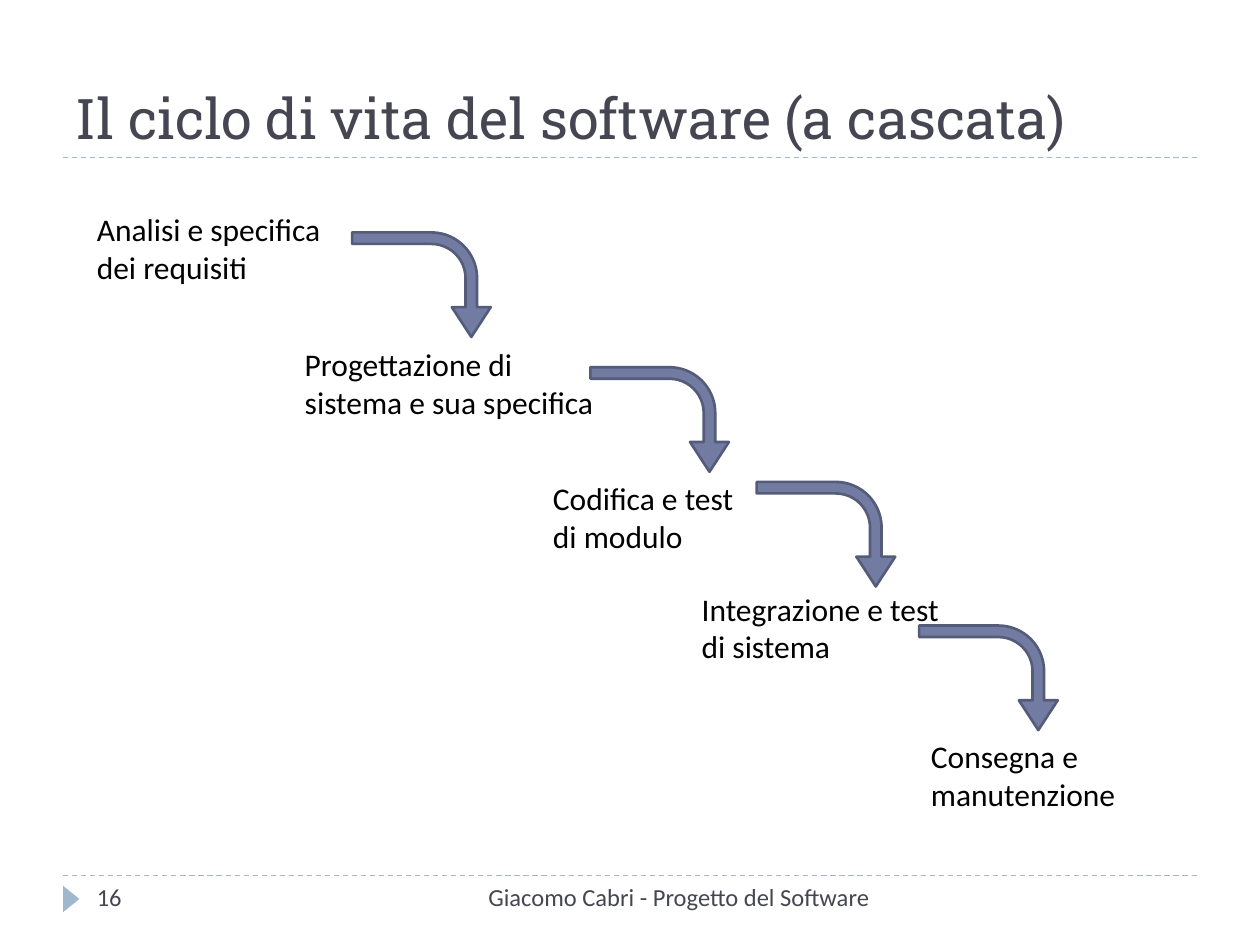
from lxml import etree
from pptx import Presentation
from pptx import util as u
from pptx.dml.color import RGBColor
from pptx.enum import dml, shapes, text
from pptx.oxml.ns import qn

# Content: each phase as (wording, left, top, width)
TITLE = "Il ciclo di vita del software (a cascata)"
FOOTER = "Giacomo Cabri - Progetto del Software"
PAGE_NUMBER = "16"
PHASES = [
    ("Analisi e specifica dei requisiti", 0.67, 1.62, 2.05),
    ("Progettazione di sistema e sua specifica", 2.32, 2.69, 2.61),
    ("Codifica e test di modulo", 4.29, 3.75, 1.71),
    ("Integrazione e test di sistema", 5.47, 4.63, 2.12),
    ("Consegna e manutenzione", 7.29, 5.8, 1.79),
]
ARROWS = [(2.93, 1.71), (4.82, 2.78), (6.14, 3.69), (7.43, 4.83)]

# Style
WIDTH, HEIGHT, MARGIN = 10, 7.5, 0.5
TITLE_RULE, FOOTER_RULE = 1.25, 6.95
PHASE_HEIGHT, FOOTER_HEIGHT = 0.71, 0.4
ARROW_SIZE = (0.83, 1.1)
ARROW_BENDS = (0.11, 0.186, 0.285, 0.438)
INK, BLACK, PALE, BLUE, DARK_BLUE = "464653", "000000", "9FB8CD", "727CA3", "545C79"
TITLE_FONT = {"name": "Roboto Slab", "size": u.Pt(32)}
PHASE_FONT = {"name": "Calibri", "size": u.Pt(18)}
FOOTER_FONT = {"name": "Calibri", "size": u.Pt(14)}


def color(value):
    return RGBColor.from_string(value)


def inches(*values):
    return [u.Inches(value) for value in values]


def write(box, wording, font, ink, align=text.PP_ALIGN.LEFT, anchor=text.MSO_ANCHOR.TOP):
    frame = box.text_frame
    frame.word_wrap = True
    frame.auto_size = text.MSO_AUTO_SIZE.NONE
    frame.vertical_anchor = anchor
    para = frame.paragraphs[0]
    para.alignment = align
    span = para.add_run()
    span.text = wording
    for key, value in font.items():
        setattr(span.font, key, value)
    span.font.color.rgb = color(ink)


def add_text(page, place, *args, **options):
    write(page.shapes.add_textbox(*inches(*place)), *args, **options)


def add_rule(page, top):
    rule = page.shapes.add_connector(
        shapes.MSO_CONNECTOR.STRAIGHT, *inches(MARGIN, top, WIDTH - MARGIN, top))
    rule.line.color.rgb = color(PALE)
    rule.line.width = u.Pt(0.75)
    rule.line.dash_style = dml.MSO_LINE.DASH
    etree.SubElement(rule._element.spPr, qn("a:effectLst"))


def add_turned(page, kind, place, fill):
    shape = page.shapes.add_shape(kind, *inches(*place))
    shape.rotation = 90
    shape.shadow.inherit = False
    shape.fill.solid()
    shape.fill.fore_color.rgb = color(fill)
    shape.line.fill.background()
    return shape


def main():
    deck = Presentation()
    deck.slide_width, deck.slide_height = inches(WIDTH, HEIGHT)
    page = deck.slides.add_slide(deck.slide_layouts[5])

    # Rules and page marker
    for top in (FOOTER_RULE, TITLE_RULE):
        add_rule(page, top)
    add_turned(page, shapes.MSO_SHAPE.ISOSCELES_TRIANGLE, (0.46, 7.07, 0.21, 0.13), PALE)

    # Title
    title = page.shapes.title
    title.left, title.top, title.width, title.height = inches(
        MARGIN, TITLE_RULE - 1, WIDTH - 2 * MARGIN, 1)
    write(title, TITLE, TITLE_FONT, INK, anchor=text.MSO_ANCHOR.BOTTOM)

    # Footer
    add_text(page, (3.17, FOOTER_RULE, 3.83, FOOTER_HEIGHT), FOOTER, FOOTER_FONT, INK,
             align=text.PP_ALIGN.RIGHT)
    add_text(page, (0.67, FOOTER_RULE, 2.17, FOOTER_HEIGHT), PAGE_NUMBER, FOOTER_FONT, INK)

    # Phases of the waterfall
    for wording, left, top, width in PHASES:
        add_text(page, (left, top, width, PHASE_HEIGHT), wording, PHASE_FONT, BLACK)

    # Arrows from each phase to the next
    for corner in ARROWS:
        arrow = add_turned(page, shapes.MSO_SHAPE.BENT_ARROW, corner + ARROW_SIZE, BLUE)
        for index, bend in enumerate(ARROW_BENDS):
            arrow.adjustments[index] = bend
        arrow.line.color.rgb = color(DARK_BLUE)
        arrow.line.width = u.Pt(1.5)

    deck.save("out.pptx")


if __name__ == "__main__":
    main()
